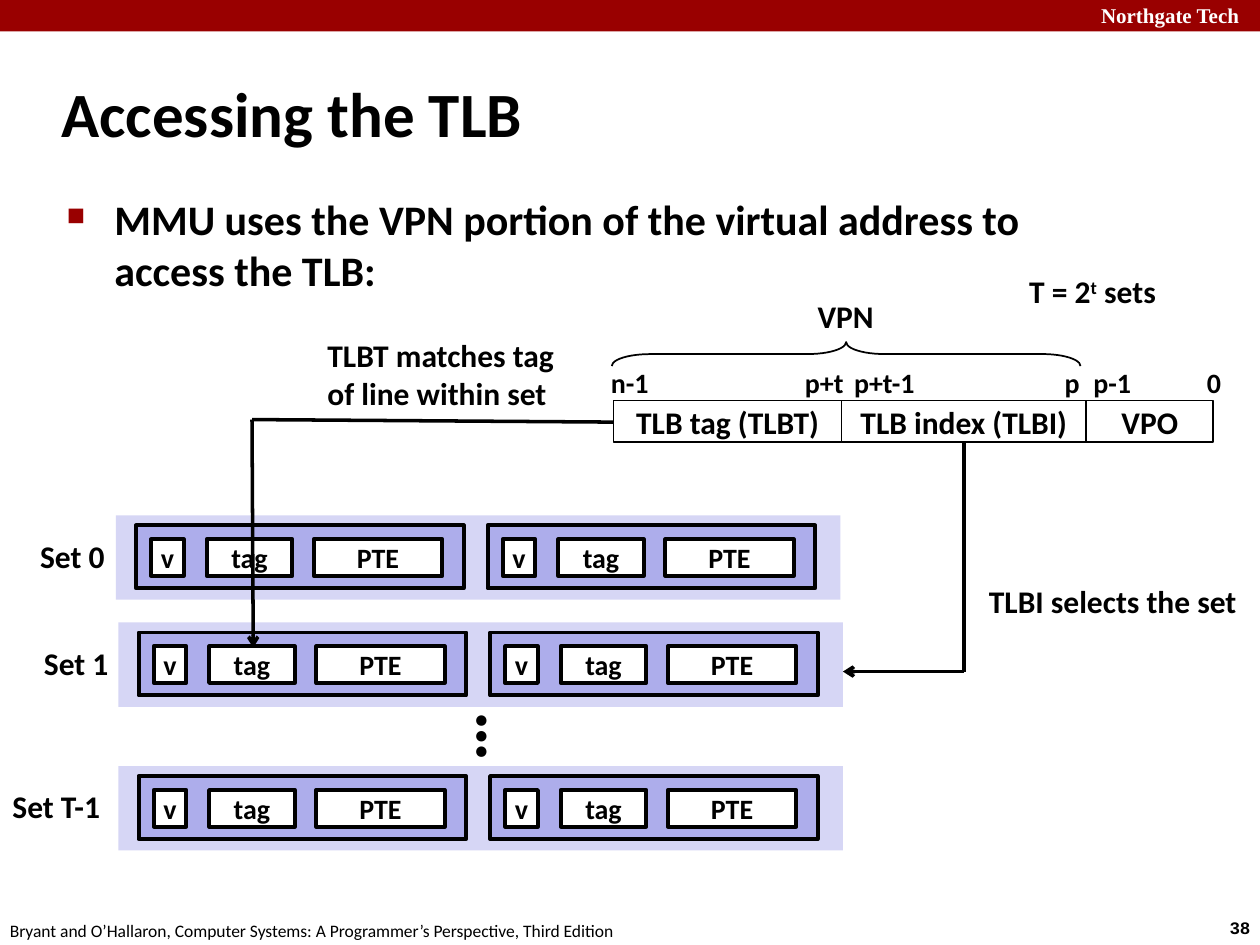
from lxml.etree import SubElement
from pptx import Presentation
from pptx.dml.color import RGBColor
from pptx.enum.shapes import MSO_CONNECTOR, MSO_SHAPE
from pptx.enum.text import MSO_ANCHOR, PP_ALIGN
from pptx.oxml.ns import qn
from pptx.util import Inches, Pt

BLACK, WHITE, RED = "000000", "FFFFFF", "990000"
SET_FILL, LINE_FILL = "D6D6F5", "ADADEB"


def color(hex_code):
    """Turn a hex string into a colour."""
    return RGBColor.from_string(hex_code)


def apply_format(target, values):
    """Set each attribute of the target from a dict of values."""
    for name, value in values.items():
        setattr(target, name, value)


def box(left, top, width, height):
    """Convert a box in inches to lengths."""
    return [Inches(value) for value in (left, top, width, height)]


def write(frame, text, size, bold=True, font="Calibri", ink=BLACK,
          align=PP_ALIGN.LEFT, anchor=MSO_ANCHOR.TOP, wrap=False):
    """Fill a text frame with one paragraph and return it."""
    apply_format(frame, {"word_wrap": wrap, "vertical_anchor": anchor})
    paragraph = frame.paragraphs[0]
    paragraph.alignment = align
    add_run(paragraph, text, size, bold, font, ink)
    return paragraph


def add_run(paragraph, text, size, bold=True, font="Calibri", ink=BLACK):
    """Append a formatted run to a paragraph."""
    run = paragraph.add_run()
    run.text = text
    apply_format(run.font, {"size": Pt(size), "bold": bold, "name": font})
    run.font.color.rgb = color(ink)
    return run


def add_label(slide, bounds, text, size, rotation=0, **style):
    """Add a text box and return its paragraph."""
    label = slide.shapes.add_textbox(*box(*bounds))
    label.rotation = rotation
    return write(label.text_frame, text, size, **style)


def add_block(slide, bounds, fill=None, weight=None, text=None, size=16,
              kind=MSO_SHAPE.RECTANGLE):
    """Add a preset shape with optional fill, outline and centred text."""
    block = slide.shapes.add_shape(kind, *box(*bounds))
    block.shadow.inherit = False
    if fill:
        block.fill.solid()
        block.fill.fore_color.rgb = color(fill)
    else:
        block.fill.background()
    if weight:
        block.line.width = Pt(weight)
        block.line.color.rgb = color(BLACK)
    else:
        block.line.fill.background()
    if text:
        write(block.text_frame, text, size, align=PP_ALIGN.CENTER,
              anchor=MSO_ANCHOR.MIDDLE)
    return block


def add_route(slide, points):
    """Join points with straight lines and put an arrowhead on the last."""
    for start, end in zip(points, points[1:]):
        segment = slide.shapes.add_connector(
            MSO_CONNECTOR.STRAIGHT, *[Inches(value) for value in start + end])
        segment.line.width = Pt(2)
        segment.line.color.rgb = color(BLACK)
        properties = segment.element.spPr
        if end == points[-1]:
            SubElement(segment.line._get_or_add_ln(), qn("a:tailEnd"), type="arrow")
        SubElement(properties, qn("a:effectLst"))


def indent(paragraph, hanging):
    """Give a paragraph a hanging indent in inches."""
    properties = paragraph._p.get_or_add_pPr()
    properties.set("marL", str(Inches(hanging)))
    properties.set("indent", str(-Inches(hanging)))
    return properties


def add_bullet(paragraph, character, ink, percent):
    """Put a coloured bullet in front of a paragraph."""
    properties = indent(paragraph, 0.38)
    bullet_color = SubElement(properties, qn("a:buClr"))
    SubElement(bullet_color, qn("a:srgbClr"), val=ink)
    SubElement(properties, qn("a:buSzPct"), val=str(percent * 1000))
    SubElement(properties, qn("a:buChar"), char=character)


def add_header_and_footer(slide):
    """Add the top band, the footer and the page number."""
    add_block(slide, (0, 0, 10, 0.25), RED)
    add_label(slide, (8.64, -0.03, 1.43, 0.3), "Northgate Tech", 12,
              font="Times New Roman", ink=WHITE, wrap=True)
    add_label(slide, (9.66, 7.23, 0.45, 0.27), "38", 10, font="Courier New")
    add_label(slide, (-0.02, 7.25, 5.08, 0.27),
              "Bryant and O’Hallaron, Computer Systems: "
              "A Programmer’s Perspective, Third Edition", 10, bold=False)


def add_heading(slide):
    """Add the title and the bulleted statement."""
    title = add_label(slide, (0.39, 0.48, 8.3, 0.83), "Accessing the TLB", 36,
                      anchor=MSO_ANCHOR.MIDDLE, wrap=True)
    indent(title, 0.13)
    statement = add_label(
        slide, (0.43, 1.49, 8.64, 0.93),
        "MMU uses the VPN portion of the virtual address to access the TLB:",
        24, wrap=True)
    statement.space_before = Pt(4.8)
    add_bullet(statement, "■", RED, 60)


def add_address(slide):
    """Add the virtual address fields, bit numbers and VPN brace."""
    left = 4.87
    for field, width, fill in (("TLB tag (TLBT)", 1.81, WHITE),
                               ("TLB index (TLBI)", 1.94, None),
                               ("VPO", 1.01, None)):
        add_block(slide, (left, 3.18, width, 0.33), fill, 1, field, 18)
        left += width
    for bit, bit_left, width in (("n-1", 4.75, 0.51), ("p+t", 6.29, 0.51),
                                 ("p+t-1", 6.68, 0.69), ("p", 8.35, 0.32),
                                 ("p-1", 8.58, 0.51), ("0", 9.48, 0.32)):
        add_label(slide, (bit_left, 2.85, width, 0.37), bit, 16,
                  anchor=MSO_ANCHOR.MIDDLE)
    brace = add_block(slide, (6.62, 0.95, 0.19, 3.72), weight=1,
                      kind=MSO_SHAPE.LEFT_BRACE)
    brace.rotation = 90
    brace.adjustments[0] = 1.6
    add_label(slide, (6.39, 2.31, 0.65, 0.4), "VPN", 18,
              anchor=MSO_ANCHOR.MIDDLE)


def add_set(slide, name, name_left, name_width, left, top):
    """Add one TLB set with its name and two lines."""
    add_block(slide, (left, top, 5.75, 0.67), SET_FILL)
    for line_left in (left + 0.16, left + 2.95):
        add_block(slide, (line_left, top + 0.08, 2.6, 0.5), LINE_FILL, 2.25)
        for part, offset, width in (("v", 0.12, 0.26), ("tag", 0.56, 0.68),
                                    ("PTE", 1.41, 1.02)):
            add_block(slide, (line_left + offset, top + 0.19, width, 0.29),
                      WHITE, 2.25, part)
    add_label(slide, (name_left, top + 0.12, name_width, 0.4), name, 18)


def add_lookup(slide):
    """Add the set count, the two routes and their explanations."""
    set_count = add_label(slide, (8.07, 2.11, 1.25, 0.4), "T = 2", 18, wrap=True)
    exponent = add_run(set_count, "t", 18)
    exponent._r.get_or_add_rPr().set("baseline", "30000")
    add_run(set_count, " sets", 18)
    add_route(slide, [(7.65, 3.51), (7.65, 5.33), (6.69, 5.33)])
    add_label(slide, (7.75, 4.57, 2.19, 0.4), "TLBI selects the set", 18)
    add_route(slide, [(4.87, 3.35), (2, 3.33), (2.01, 5.14)])
    add_label(slide, (2.5, 2.62, 2.25, 0.71),
              "TLBT matches tag of line within set", 18, wrap=True)


def main():
    """Build the slide and save it."""
    deck = Presentation()
    apply_format(deck, {"slide_width": Inches(10), "slide_height": Inches(7.5)})
    slide = deck.slides.add_slide(deck.slide_layouts[6])
    add_header_and_footer(slide)
    add_heading(slide)
    add_address(slide)
    for tlb_set in (("Set 0", 0.22, 0.72, 0.92, 4.09),
                    ("Set 1", 0.25, 0.72, 0.94, 4.94),
                    ("Set T-1", 0, 0.92, 0.94, 6.08)):
        add_set(slide, *tlb_set)
    add_label(slide, (3.34, 5.46, 0.6, 0.77), "…", 40, rotation=270)
    add_lookup(slide)
    deck.save("out.pptx")


main()
